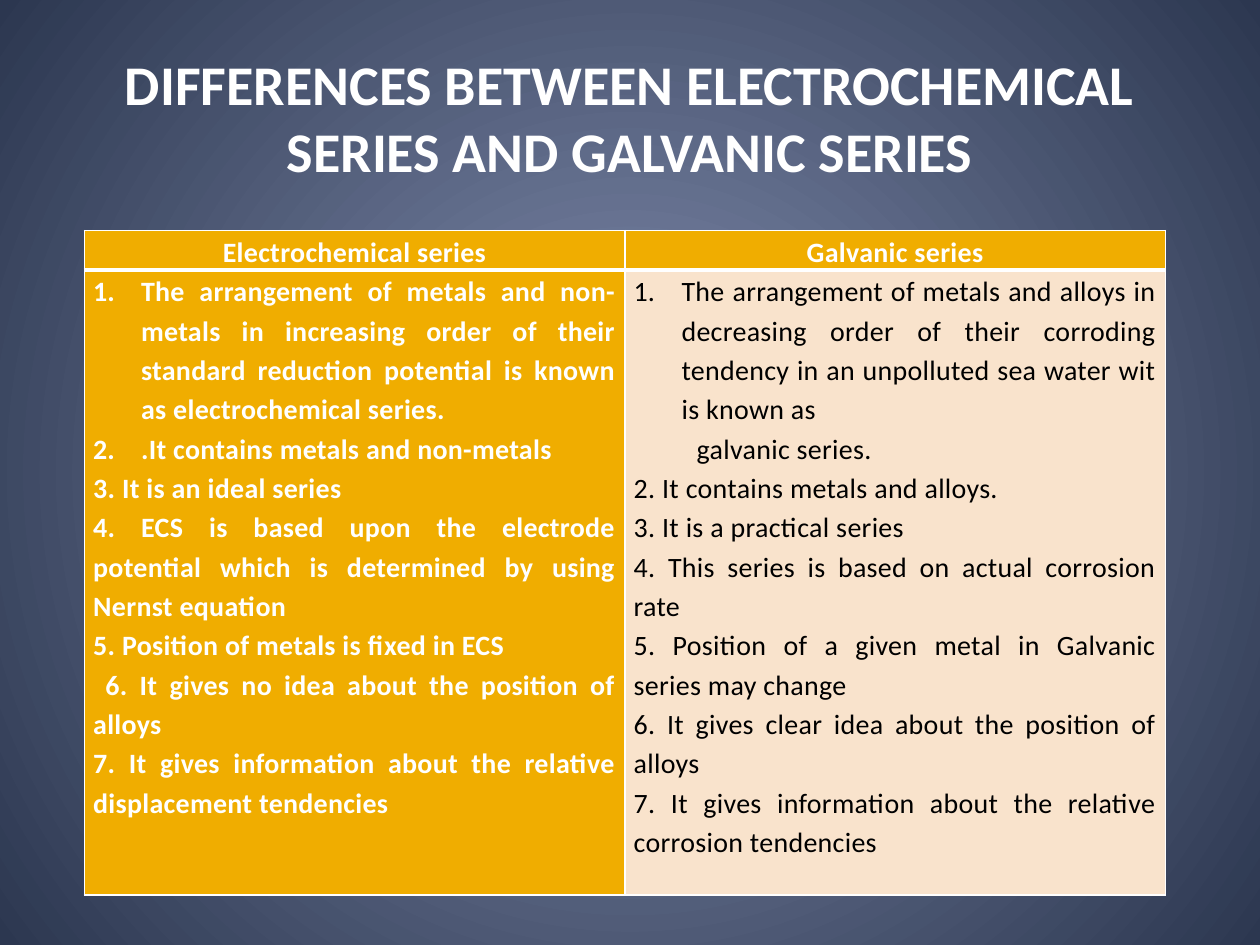
from pptx import Presentation
from pptx.dml.color import RGBColor
from pptx.enum import text
from pptx.oxml import parse_xml
from pptx.oxml.ns import nsdecls, qn
from pptx.util import Inches, Pt

# Content: each entry is (paragraph kind, text)
TITLE = "DIFFERENCES BETWEEN ELECTROCHEMICAL SERIES AND GALVANIC SERIES"
HEADERS = ["Electrochemical series", "Galvanic series"]
ELECTROCHEMICAL = [
    ("numbered", "The arrangement of metals and non-metals in increasing order of "
                 "their standard reduction potential is known as electrochemical series."),
    ("numbered", ".It contains metals and non-metals"),
    ("plain", "3. It is an ideal series"),
    ("plain", "4. ECS is based upon the electrode potential which is determined "
              "by using Nernst equation"),
    ("plain", "5. Position of metals is fixed in ECS"),
    ("plain", " 6. It gives no idea about the position of alloys"),
    ("plain", "7. It gives information about the relative displacement tendencies"),
]
GALVANIC = [
    ("numbered", "The arrangement of metals and alloys in decreasing order of their "
                 "corroding tendency in an unpolluted sea water wit is known as"),
    ("indented", "galvanic series."),
    ("plain", "2. It contains metals and alloys."),
    ("plain", "3. It is a practical series"),
    ("plain", "4. This series is based on actual corrosion rate"),
    ("plain", "5. Position of a given metal in Galvanic series may change"),
    ("plain", "6. It gives clear idea about the position of alloys"),
    ("plain", "7. It gives information about the relative corrosion tendencies"),
]

THEME = {
    "font": "Calibri", "title_size": 32, "table_size": 16,
    "white": "FFFFFF", "black": "000000", "amber": "F0AD00", "cream": "F9E3CC",
    "glow": "828EAF", "edge": "2C3750",
}
INDENTS = {"numbered": (0.38, -0.38), "indented": (0.5, 0), "plain": (0, 0)}
ROW_HEIGHTS = (0.29, 4.96)
COLUMN_WIDTH = 4.29


def color(name):
    return RGBColor.from_string(THEME[name])


def style_font(font, size, ink, bold):
    values = {"name": THEME["font"], "size": Pt(THEME[size]), "bold": bold}
    for key, value in values.items():
        setattr(font, key, value)
    font.color.rgb = color(ink)


def paint_background(page):
    fill = page.background.fill
    fill.gradient()
    for stop, name in zip(fill.gradient_stops, ("glow", "edge")):
        stop.color.rgb = color(name)
    fill.gradient_stops[0].position = 0
    fill.gradient_stops[1].position = 1
    linear = next(page.background._cSld.iter(qn("a:lin")))
    linear.getparent().replace(linear, parse_xml(
        f'<a:path {nsdecls("a")} path="circle">'
        '<a:fillToRect l="50000" t="50000" r="50000" b="50000"/></a:path>'))


def add_borders(cell, widths):
    properties = cell._tc.get_or_add_tcPr()
    for index, (side, width) in enumerate(widths.items()):
        properties.insert(index, parse_xml(
            f'<a:ln{side} {nsdecls("a")} w="{Pt(width)}"><a:solidFill>'
            f'<a:srgbClr val="{THEME["white"]}"/></a:solidFill></a:ln{side}>'))


def fill_cell(cell, entries, align, background, ink, bold, widths):
    margins = {"margin_left": 0.07, "margin_right": 0.07, "margin_top": 0, "margin_bottom": 0}
    for key, value in margins.items():
        setattr(cell, key, Inches(value))
    cell.vertical_anchor = text.MSO_ANCHOR.TOP
    cell.fill.solid()
    cell.fill.fore_color.rgb = color(background)
    add_borders(cell, widths)
    frame = cell.text_frame
    for index, (kind, words) in enumerate(entries):
        para = frame.add_paragraph() if index else frame.paragraphs[0]
        para.alignment = align
        para.line_spacing = 1.15
        properties = para._p.get_or_add_pPr()
        for key, value in zip(("marL", "indent"), INDENTS[kind]):
            properties.set(key, str(Inches(value)))
        if kind == "numbered":
            properties.append(parse_xml(
                f'<a:buAutoNum {nsdecls("a")} type="arabicPeriod"/>'))
        span = para.add_run()
        span.text = words
        style_font(span.font, "table_size", ink, bold)
        span._r.get_or_add_rPr().set("spc", "20")


def main():
    deck = Presentation()
    deck.slide_width, deck.slide_height = Inches(10), Inches(7.5)
    page = deck.slides.add_slide(deck.slide_layouts[5])
    paint_background(page)

    # Title
    title = page.shapes.title
    places = {"left": 0.5, "top": 0.3, "width": 9, "height": 1.25}
    for key, value in places.items():
        setattr(title, key, Inches(value))
    title.text_frame.text = TITLE
    title.text_frame.vertical_anchor = text.MSO_ANCHOR.MIDDLE
    para = title.text_frame.paragraphs[0]
    para.alignment = text.PP_ALIGN.CENTER
    style_font(para.runs[0].font, "title_size", "white", True)

    # Comparison table
    table = page.shapes.add_table(
        2, 2, Inches(0.67), Inches(1.83),
        Inches(2 * COLUMN_WIDTH), Inches(sum(ROW_HEIGHTS))).table
    table.first_row = table.horz_banding = False
    for row, height in zip(table.rows, ROW_HEIGHTS):
        row.height = Inches(height)
    bodies = [(ELECTROCHEMICAL, "amber", "white", True),
              (GALVANIC, "cream", "black", False)]
    for index, (header, body) in enumerate(zip(HEADERS, bodies)):
        table.columns[index].width = Inches(COLUMN_WIDTH)
        fill_cell(table.cell(0, index), [("plain", header)], text.PP_ALIGN.CENTER,
                  "amber", "white", True, {"L": 1, "R": 1, "T": 1, "B": 3})
        fill_cell(table.cell(1, index), body[0], text.PP_ALIGN.JUSTIFY,
                  *body[1:], {"L": 1, "R": 1, "T": 3, "B": 1})

    deck.save("out.pptx")


if __name__ == "__main__":
    main()
